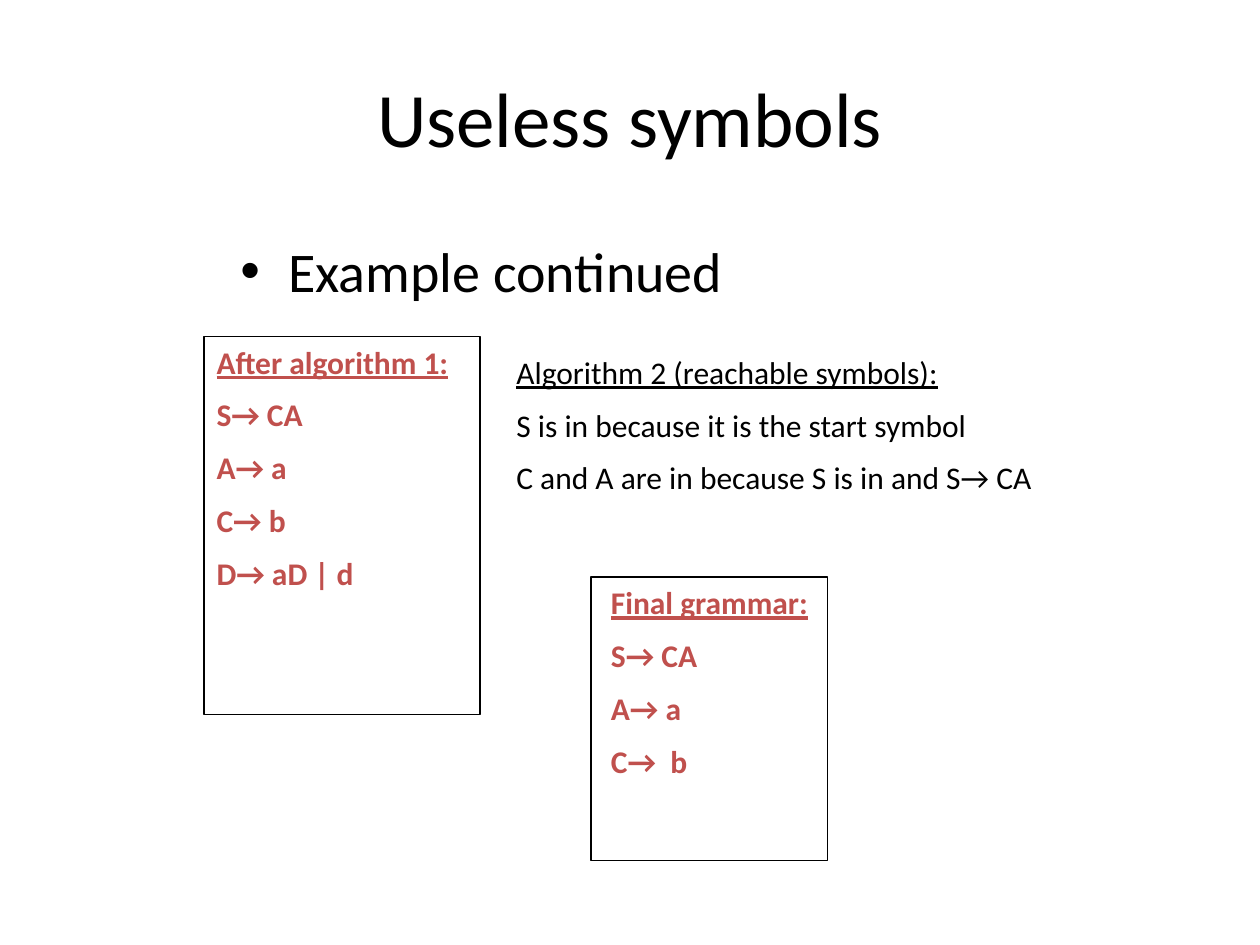
from dataclasses import dataclass

from lxml.etree import SubElement
from pptx import Presentation
from pptx.dml.color import RGBColor
from pptx.enum.shapes import MSO_SHAPE
from pptx.enum.text import MSO_ANCHOR as Anchor, PP_ALIGN as Align
from pptx.oxml.ns import qn
from pptx.slide import Slide
from pptx.util import Inches, Pt

BLACK = RGBColor(0x00, 0x00, 0x00)
RED = RGBColor(0xC0, 0x50, 0x4D)
FONT = "Calibri"


@dataclass
class Box:
    left: float
    top: float
    width: float
    height: float

    def lengths(self) -> list:
        return [Inches(v) for v in (self.left, self.top, self.width, self.height)]


@dataclass
class TextBlock:
    box: Box
    lines: list[str]
    size: int = 18
    color: RGBColor = BLACK
    bold: bool = False
    heading: bool = True
    bullet: bool = False
    align: Align = Align.LEFT
    anchor: Anchor = Anchor.TOP


def add_bullet(p) -> None:
    pPr = p._p.get_or_add_pPr()
    pPr.set("marL", str(Inches(0.38)))
    pPr.set("indent", str(-Inches(0.38)))
    SubElement(pPr, qn("a:buFont"), typeface="Arial")
    SubElement(pPr, qn("a:buChar"), char="•")


def add_text(s: Slide, block: TextBlock) -> None:
    tf = s.shapes.add_textbox(*block.box.lengths()).text_frame
    tf.word_wrap = True
    tf.vertical_anchor = block.anchor
    for i, line in enumerate(block.lines):
        p = tf.add_paragraph() if i else tf.paragraphs[0]
        p.alignment = block.align
        if i:
            p.space_before = Pt(8.6)
        if block.bullet:
            add_bullet(p)
        r = p.add_run()
        r.text = line
        r.font.name = FONT
        r.font.size = Pt(block.size)
        r.font.bold = block.bold
        r.font.underline = block.heading and i == 0
        r.font.color.rgb = block.color


def add_frame(s: Slide, box: Box) -> None:
    sp = s.shapes.add_shape(MSO_SHAPE.RECTANGLE, *box.lengths())
    sp.shadow.inherit = False
    sp.fill.background()
    sp.line.color.rgb = BLACK
    sp.line.width = Pt(0.75)


TEXTS = [
    TextBlock(Box(0.5, 0.3, 9, 1.25), ["Useless symbols"], size=44, heading=False,
              align=Align.CENTER, anchor=Anchor.MIDDLE),
    TextBlock(Box(1.81, 1.83, 6.38, 0.69), ["Example continued"], size=32,
              heading=False, bullet=True),
    TextBlock(Box(1.62, 2.67, 2.19, 2.22),
              ["After algorithm 1:", "S→ CA", "A→ a", "C→ b", "D→ aD | d"],
              color=RED, bold=True),
    TextBlock(Box(4, 2.75, 4.44, 1.31),
              ["Algorithm 2 (reachable symbols):",
               "S is in because it is the start symbol",
               "C and A are in because S is in and S→ CA"]),
    TextBlock(Box(4.75, 4.58, 2.12, 1.77),
              ["Final grammar:", "S→ CA", "A→ a", "C→  b"],
              color=RED, bold=True),
]
FRAMES = [Box(1.62, 2.67, 2.19, 3), Box(4.69, 4.58, 1.88, 2.25)]


def main() -> None:
    """Build the slide on useless grammar symbols."""
    prs = Presentation()
    prs.slide_width, prs.slide_height = Inches(10), Inches(7.5)
    s = prs.slides.add_slide(prs.slide_layouts[6])
    for frame in FRAMES:
        add_frame(s, frame)
    for block in TEXTS:
        add_text(s, block)
    prs.save("out.pptx")


if __name__ == "__main__":
    main()
